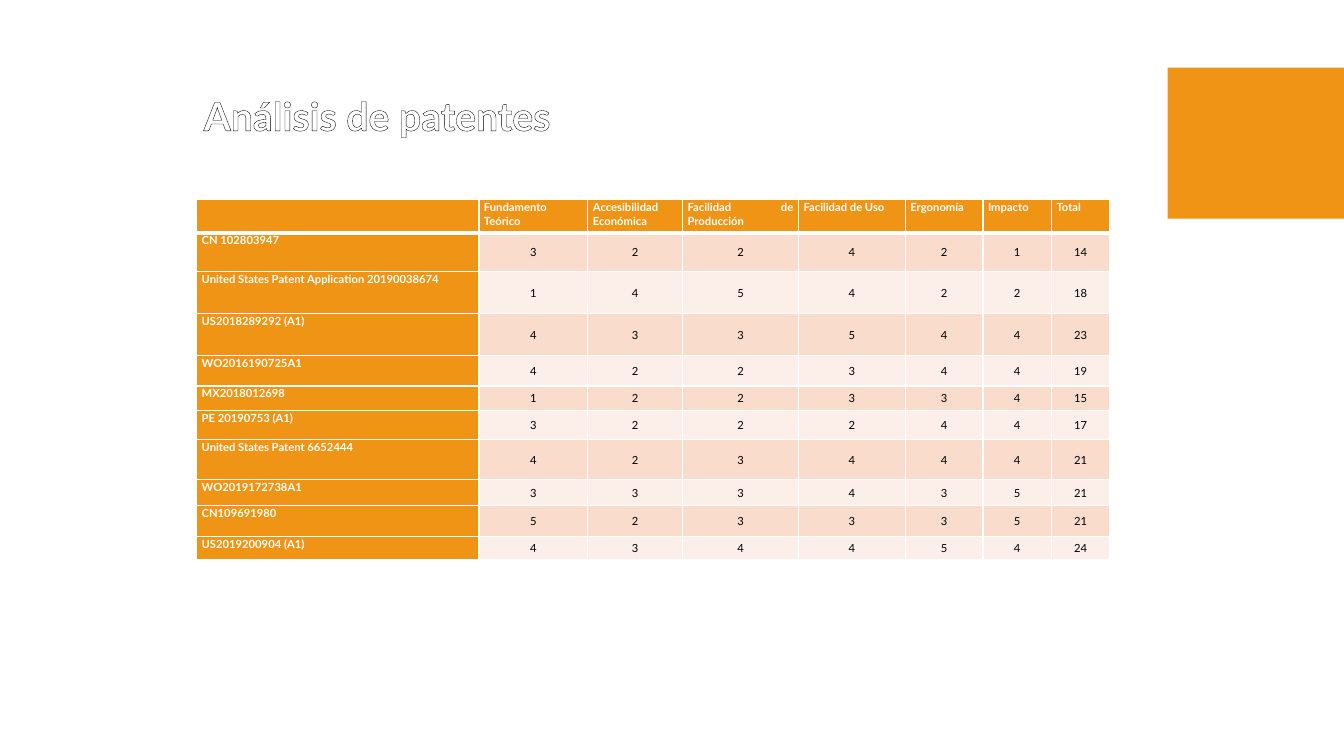
"""Build the patent analysis slide with its scoring table."""
from lxml import etree
from pptx import Presentation
from pptx.dml.color import RGBColor
from pptx.enum import shapes, text
from pptx.oxml import ns
from pptx.util import Inches, Pt

TITLE = "Análisis de patentes"
CRITERIA = ["Fundamento Teórico", "Accesibilidad Económica", "Facilidad de Producción",
            "Facilidad de Uso", "Ergonomía", "Impacto"]
PATENTS = [
    ("CN 102803947", (3, 2, 2, 4, 2, 1)),
    ("United States Patent Application 20190038674", (1, 4, 5, 4, 2, 2)),
    ("US2018289292 (A1)", (4, 3, 3, 5, 4, 4)),
    ("WO2016190725A1", (4, 2, 2, 3, 4, 4)),
    ("MX2018012698", (1, 2, 2, 3, 3, 4)),
    ("PE 20190753 (A1)", (3, 2, 2, 2, 4, 4)),
    ("United States Patent 6652444", (4, 2, 3, 4, 4, 4)),
    ("WO2019172738A1", (3, 3, 3, 4, 3, 5)),
    ("CN109691980", (5, 2, 3, 3, 3, 5)),
    ("US2019200904 (A1)", (4, 3, 4, 4, 5, 4)),
]
COLUMN_WIDTHS = [2.8, 1.08, 0.94, 1.15, 1.06, 0.77, 0.68, 0.58]
ROW_HEIGHTS = [0.33, 0.38, 0.42, 0.42, 0.3, 0.24, 0.29, 0.4, 0.26, 0.3, 0.23]

FONT = "Lato"
ORANGE = RGBColor(0xF0, 0x94, 0x15)
PEACH = RGBColor(0xF9, 0xDC, 0xCC)
PALE_PEACH = RGBColor(0xFC, 0xEE, 0xE8)
WHITE = RGBColor(0xFF, 0xFF, 0xFF)
BLACK = RGBColor(0x00, 0x00, 0x00)


def make_line(tag, points, color):
    line = etree.Element(ns.qn(tag), w=str(Pt(points)))
    fill = etree.SubElement(line, ns.qn("a:solidFill"))
    etree.SubElement(fill, ns.qn("a:srgbClr"), val=str(color))
    return line


def set_font(font, size, color, bold):
    font.name = FONT
    font.size = Pt(size)
    font.bold = bold
    font.color.rgb = color


def add_title(slide):
    title = slide.shapes.title
    title.left, title.top = Inches(1.92), Inches(0.86)
    title.width, title.height = Inches(5.58), Inches(0.57)
    frame = title.text_frame
    frame.word_wrap = True
    frame.auto_size = text.MSO_AUTO_SIZE.SHAPE_TO_FIT_TEXT
    frame.vertical_anchor = text.MSO_ANCHOR.TOP
    paragraph = frame.paragraphs[0]
    paragraph.alignment = text.PP_ALIGN.LEFT
    paragraph.line_spacing = 1.0
    run = paragraph.add_run()
    run.text = TITLE
    set_font(run.font, 28, WHITE, True)
    run.font._element.insert(0, make_line("a:ln", 0.75, BLACK))


def format_cell(cell, row, column):
    heading = row == 0 or column == 0
    cell.margin_left = cell.margin_right = Inches(0.05)
    cell.margin_top = cell.margin_bottom = 0
    cell.vertical_anchor = text.MSO_ANCHOR.TOP if heading else text.MSO_ANCHOR.MIDDLE
    cell.fill.solid()
    cell.fill.fore_color.rgb = ORANGE if heading else PEACH if row % 2 else PALE_PEACH
    paragraph = cell.text_frame.paragraphs[0]
    paragraph.alignment = text.PP_ALIGN.JUSTIFY if heading else text.PP_ALIGN.CENTER
    paragraph.line_spacing = 1.07
    set_font(paragraph.font, 8, WHITE if heading else BLACK, heading)
    borders = {"a:lnL": 1, "a:lnR": 1, "a:lnT": 3 if row == 1 else 1, "a:lnB": 1 if row else 3}
    properties = cell._tc.get_or_add_tcPr()
    for position, (tag, points) in enumerate(borders.items()):
        properties.insert(position, make_line(tag, points, WHITE))


def add_score_table(slide):
    rows = [["", *CRITERIA, "Total"]]
    rows += [[patent, *scores, sum(scores)] for patent, scores in PATENTS]
    frame = slide.shapes.add_table(len(rows), len(rows[0]), Inches(1.95), Inches(1.98),
                                   Inches(sum(COLUMN_WIDTHS)), Inches(sum(ROW_HEIGHTS)))
    table = frame.table
    for column, width in zip(table.columns, COLUMN_WIDTHS):
        column.width = Inches(width)
    for row, height in zip(table.rows, ROW_HEIGHTS):
        row.height = Inches(height)
    for row, values in enumerate(rows):
        for column, value in enumerate(values):
            cell = table.cell(row, column)
            cell.text = str(value)
            format_cell(cell, row, column)


def main():
    presentation = Presentation()
    presentation.slide_width, presentation.slide_height = Inches(13.33), Inches(7.5)
    slide = presentation.slides.add_slide(presentation.slide_layouts[5])
    block = slide.shapes.add_shape(shapes.MSO_SHAPE.RECTANGLE, Inches(11.58), Inches(0.67),
                                   Inches(1.75), Inches(1.5))
    block.shadow.inherit = False
    block.fill.solid()
    block.fill.fore_color.rgb = ORANGE
    block.line.fill.background()
    add_score_table(slide)
    add_title(slide)
    presentation.save("out.pptx")


if __name__ == "__main__":
    main()
